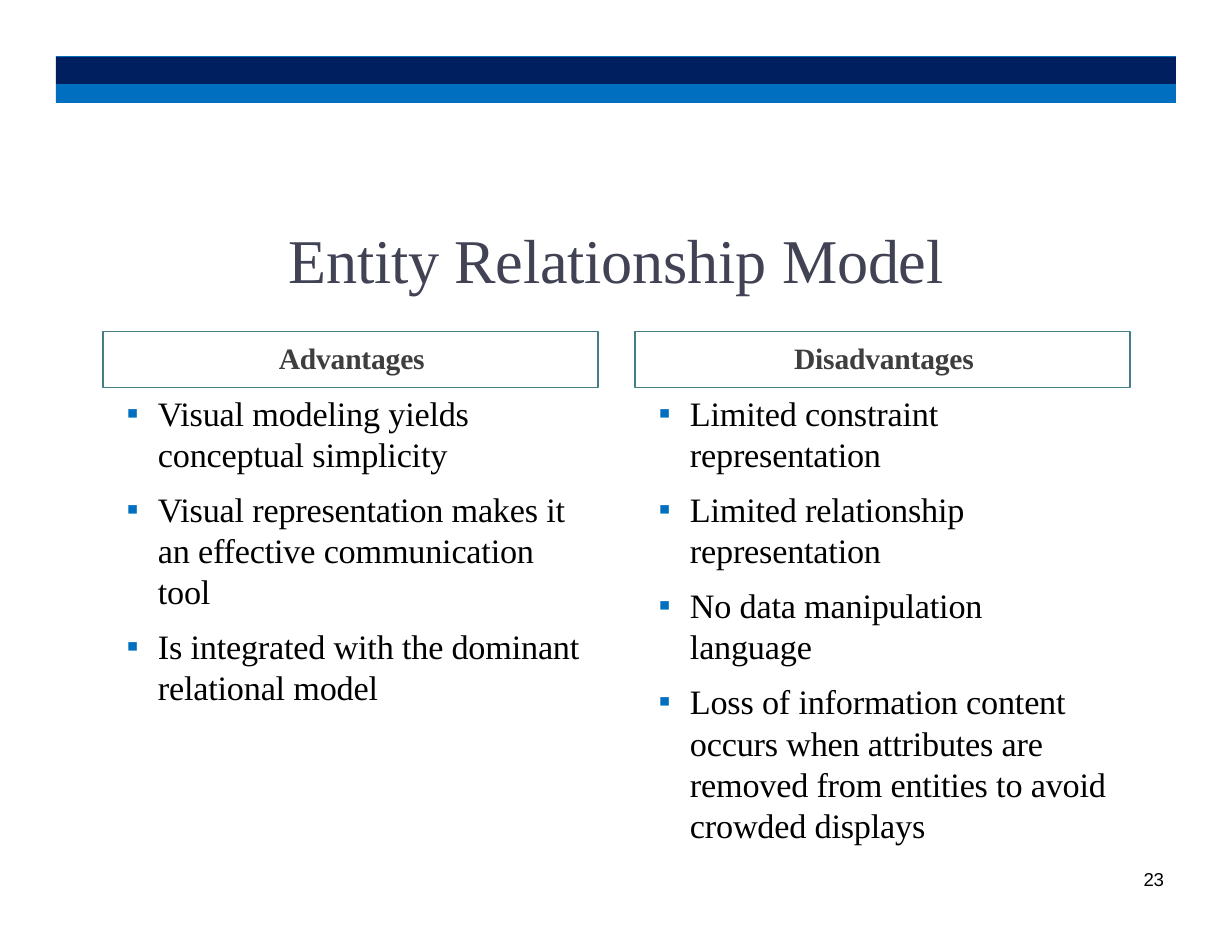
from dataclasses import dataclass

from lxml import etree
from pptx import Presentation
from pptx.dml.color import RGBColor
from pptx.enum import shapes, text
from pptx.oxml import ns
from pptx.util import Inches, Pt


@dataclass(frozen=True)
class Theme:
    navy: str = "001F5F"
    blue: str = "006FBF"
    mark: str = "006FC0"
    teal: str = "427F85"
    slate: str = "414355"
    gray: str = "3E3E3E"
    black: str = "000000"
    serif: str = "Times New Roman"
    sans: str = "Arial"
    title: int = 40
    head: int = 19
    body: int = 22
    small: int = 12


THEME = Theme()

PROS = [
    "Visual modeling yields conceptual simplicity",
    "Visual representation makes it an effective communication tool",
    "Is integrated with the dominant relational model",
]
CONS = [
    "Limited constraint representation",
    "Limited relationship representation",
    "No data manipulation language",
    "Loss of information content occurs when attributes are "
    "removed from entities to avoid crowded displays",
]


def add_rect(slide, left, top, width, height, fill=None, line=None):
    rect = slide.shapes.add_shape(
        shapes.MSO_SHAPE.RECTANGLE,
        Inches(left), Inches(top), Inches(width), Inches(height))
    rect.shadow.inherit = False
    if fill:
        rect.fill.solid()
        rect.fill.fore_color.rgb = RGBColor.from_string(fill)
    else:
        rect.fill.background()
    if line:
        rect.line.color.rgb = RGBColor.from_string(line)
        rect.line.width = Pt(1)
    else:
        rect.line.fill.background()


def add_box(slide, left, top, width, height, inset=0):
    box = slide.shapes.add_textbox(
        Inches(left), Inches(top), Inches(width), Inches(height))
    frame = box.text_frame
    frame.word_wrap = True
    frame.margin_left = frame.margin_right = frame.margin_bottom = 0
    frame.margin_top = Inches(inset)
    return frame


def add_run(para, words, size, color, face=THEME.serif, bold=False):
    run = para.add_run()
    run.text = words
    font = run.font
    font.size, font.name, font.bold = Pt(size), face, bold
    font.color.rgb = RGBColor.from_string(color)
    run.font._element.set("spc", "-10")


def set_indent(para, left, first=0):
    props = para._p.get_or_add_pPr()
    props.set("marL", str(Inches(left)))
    props.set("indent", str(Inches(first)))
    return props


def add_bullet(frame, words, gap):
    para = frame.add_paragraph()
    para.space_before = Pt(gap)
    props = set_indent(para, 0.29, -0.28)
    color = etree.SubElement(props, ns.qn("a:buClr"))
    etree.SubElement(color, ns.qn("a:srgbClr"), val=THEME.mark)
    etree.SubElement(props, ns.qn("a:buFont"), typeface=THEME.serif)
    etree.SubElement(props, ns.qn("a:buChar"), char="▪")
    add_run(para, words, THEME.body, THEME.black)


def add_column(slide, left, width, height, head, indent, items):
    add_rect(slide, left, 2.96, 4.42, 0.5, line=THEME.teal)
    frame = add_box(slide, left + 0.2, 2.9, width, height, 0.14)
    para = frame.paragraphs[0]
    set_indent(para, indent)
    add_run(para, head, THEME.head, THEME.gray, bold=True)
    for place, item in enumerate(items):
        add_bullet(frame, item, 9 if place else 10.6)


def add_title(slide, words):
    para = add_box(slide, 2.54, 1.97, 5.92, 0.69, 0.01).paragraphs[0]
    para.alignment = text.PP_ALIGN.CENTER
    add_run(para, words, THEME.title, THEME.slate)


def add_number(slide, words):
    para = add_box(slide, 10.17, 7.77, 0.27, 0.19).paragraphs[0]
    set_indent(para, 0.04)
    para.line_spacing = Pt(12.7)
    add_run(para, words, THEME.small, THEME.black, THEME.sans)


def main():
    deck = Presentation()
    deck.slide_width, deck.slide_height = Inches(11), Inches(8.5)
    slide = deck.slides.add_slide(deck.slide_layouts[6])
    bands = [(0.75, 0.17, THEME.blue), (0.5, 0.01, THEME.blue),
             (0.51, 0.24, THEME.navy)]
    for top, height, color in bands:
        add_rect(slide, 0.5, top, 10, height, fill=color)
    add_title(slide, "Entity Relationship Model")
    add_column(slide, 0.92, 4.13, 3.43, "Advantages", 1.37, PROS)
    add_column(slide, 5.67, 4.05, 4.66, "Disadvantages", 1.22, CONS)
    add_number(slide, "23")
    deck.save("out.pptx")


if __name__ == "__main__":
    main()
